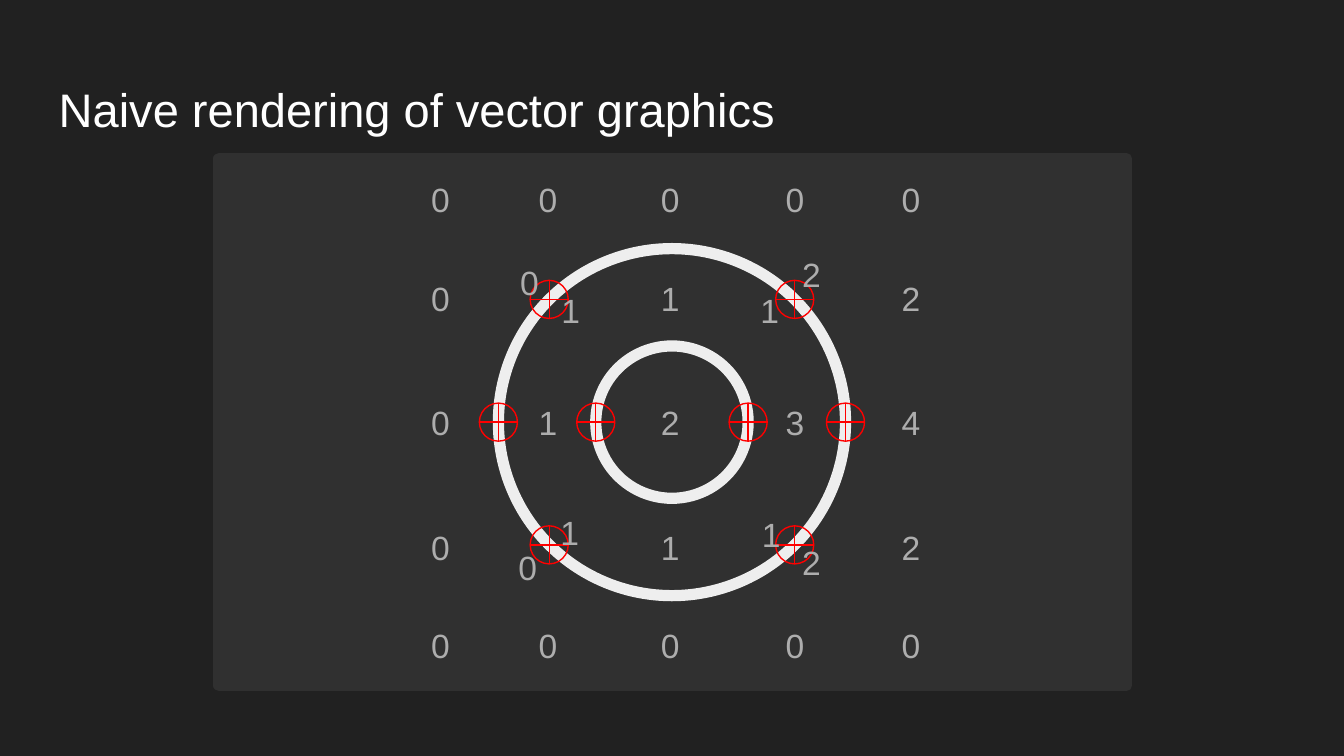
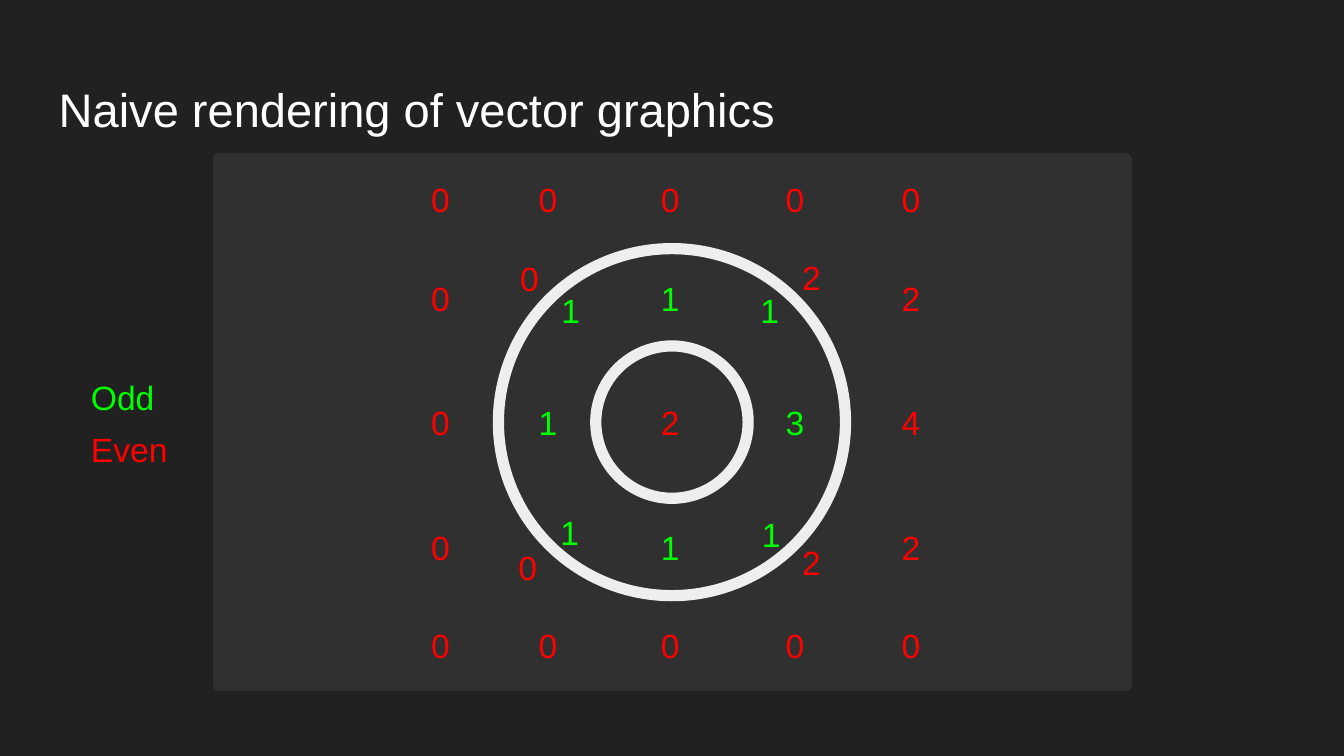
from dataclasses import dataclass
from itertools import product
from math import sqrt
from typing import NamedTuple

from lxml.etree import SubElement
from pptx import Presentation
from pptx.dml.color import RGBColor
from pptx.enum.shapes import MSO_SHAPE
from pptx.enum.text import MSO_ANCHOR, MSO_AUTO_SIZE, PP_ALIGN
from pptx.oxml.ns import qn
from pptx.slide import Slide
from pptx.util import Cm, Pt


# Theme
@dataclass(frozen=True)
class Theme:
    font: str = "Arial"
    background: str = "212121"
    panel: str = "303030"
    ring: str = "EEEEEE"
    title: str = "FFFFFF"
    neutral: str = "ADADAD"
    odd: str = "00FF00"
    even: str = "FF0000"
    crossing: str = "FF0000"
    title_size: float = 25.2
    label_size: float = 18
    heavy_line: float = 6
    thin_line: float = 0.75


THEME = Theme()


# Element descriptions, lengths in centimetres
class Box(NamedTuple):
    left: float
    top: float
    width: float
    height: float


class Label(NamedTuple):
    text: str
    left: float
    top: float
    width: float = 0.91


class Outline(NamedTuple):
    preset: MSO_SHAPE
    box: Box
    color: str
    weight: float
    fill: str | None = None


TITLE = "Naive rendering of vector graphics"
TITLE_BOX = Box(0.86, 1.24, 23.67, 1.6)
PANEL_BOX = Box(4.14, 3, 17.15, 9.96)
LABEL_HEIGHT = 1.27

# Two concentric rings and the places where the scan lines cross them
CENTER_X, CENTER_Y = 12.7, 7.98
OUTER_RADIUS, INNER_RADIUS, CROSSING_RADIUS = 3.28, 1.44, 0.36
DIAGONAL = OUTER_RADIUS / sqrt(2)
CROSSINGS = [
    *product((-DIAGONAL, DIAGONAL), repeat=2),
    *((side * radius, 0) for side in (-1, 1) for radius in (INNER_RADIUS, OUTER_RADIUS)),
]

# Crossing counts on the grid; a space is a point on the outer ring
COLUMNS = (7.9, 9.93, 12.24, 14.6, 16.79)
ROWS = (3.12, 5, 7.34, 9.7, 11.56)
COUNTS = ("00000", "0 1 2", "01234", "0 1 2", "00000")
GRID_LABELS = [
    Label(count, left, top)
    for top, row in zip(ROWS, COUNTS)
    for left, count in zip(COLUMNS, row)
    if count != " "
]

# Counts on both sides of the ring at its diagonal points
RING_LABELS = [
    Label("1", 10.36, 5.23), Label("1", 14.12, 5.23),
    Label("1", 10.34, 9.42), Label("1", 14.15, 9.45),
    Label("0", 9.55, 10.08), Label("2", 14.91, 9.98),
]


def upper_labels(left_top: float, right_top: float) -> list[Label]:
    return [Label("0", 9.58, left_top), Label("2", 14.91, right_top)]


def circle_box(dx: float, dy: float, radius: float) -> Box:
    return Box(CENTER_X + dx - radius, CENTER_Y + dy - radius, 2 * radius, 2 * radius)


def to_cm(box: Box) -> list[Cm]:
    return [Cm(round(length, 2)) for length in box]


# Drawing functions
def draw_text(slide: Slide, text: str, box: Box, size: float, color: str,
              auto_size: MSO_AUTO_SIZE = MSO_AUTO_SIZE.NONE) -> None:
    frame = slide.shapes.add_textbox(*to_cm(box)).text_frame
    inset = Cm(0.25)
    frame_format = {
        "word_wrap": True,
        "auto_size": auto_size,
        "vertical_anchor": MSO_ANCHOR.BOTTOM,
        "margin_left": inset,
        "margin_top": inset,
        "margin_right": inset,
        "margin_bottom": inset,
    }
    for name, value in frame_format.items():
        setattr(frame, name, value)
    paragraph = frame.paragraphs[0]
    paragraph.alignment = PP_ALIGN.LEFT
    run = paragraph.add_run()
    run.text = text
    for name, value in {"name": THEME.font, "size": Pt(size)}.items():
        setattr(run.font, name, value)
    run.font.color.rgb = RGBColor.from_string(color)


def draw_label(slide: Slide, label: Label, color: str) -> None:
    box = Box(label.left, label.top, label.width, LABEL_HEIGHT)
    draw_text(slide, label.text, box, THEME.label_size, color, MSO_AUTO_SIZE.SHAPE_TO_FIT_TEXT)


def draw_outline(slide: Slide, outline: Outline) -> None:
    shape = slide.shapes.add_shape(outline.preset, *to_cm(outline.box))
    shape.shadow.inherit = False
    if outline.fill:
        shape.fill.solid()
        shape.fill.fore_color.rgb = RGBColor.from_string(outline.fill)
    else:
        shape.fill.background()
    shape.line.color.rgb = RGBColor.from_string(outline.color)
    shape.line.width = Pt(outline.weight)
    # Rounded line joins
    SubElement(shape.line._get_or_add_ln(), qn("a:round"))


def parity_color(label: Label) -> str:
    return THEME.odd if int(label.text) % 2 else THEME.even


def add_base_slide(deck: Presentation) -> Slide:
    """Background, title, panel and the two rings."""
    slide = deck.slides.add_slide(deck.slide_layouts[6])
    slide.background.fill.solid()
    slide.background.fill.fore_color.rgb = RGBColor.from_string(THEME.background)
    draw_text(slide, TITLE, TITLE_BOX, THEME.title_size, THEME.title)
    draw_outline(slide, Outline(MSO_SHAPE.RECTANGLE, PANEL_BOX, THEME.panel,
                                THEME.heavy_line, THEME.panel))
    for radius in (OUTER_RADIUS, INNER_RADIUS):
        draw_outline(slide, Outline(MSO_SHAPE.OVAL, circle_box(0, 0, radius),
                                    THEME.ring, THEME.heavy_line))
    return slide


# Slides
def add_crossings_slide(deck: Presentation) -> None:
    slide = add_base_slide(deck)
    for label in GRID_LABELS:
        draw_label(slide, label, THEME.neutral)
    for dx, dy in CROSSINGS:
        draw_outline(slide, Outline(MSO_SHAPE.FLOWCHART_OR, circle_box(dx, dy, CROSSING_RADIUS),
                                    THEME.crossing, THEME.thin_line))
    for label in RING_LABELS + upper_labels(4.7, 4.55):
        draw_label(slide, label, THEME.neutral)


def add_parity_slide(deck: Presentation) -> None:
    slide = add_base_slide(deck)
    for label in GRID_LABELS + RING_LABELS + upper_labels(4.62, 4.6):
        draw_label(slide, label, parity_color(label))
    # Legend
    draw_label(slide, Label("Odd", 1.47, 6.86, 2.06), THEME.odd)
    draw_label(slide, Label("Even", 1.47, 7.85, 2.06), THEME.even)


def main() -> None:
    deck = Presentation()
    deck.slide_width, deck.slide_height = Cm(25.4), Cm(14.29)
    add_crossings_slide(deck)
    add_parity_slide(deck)
    deck.save("out.pptx")


if __name__ == "__main__":
    main()
